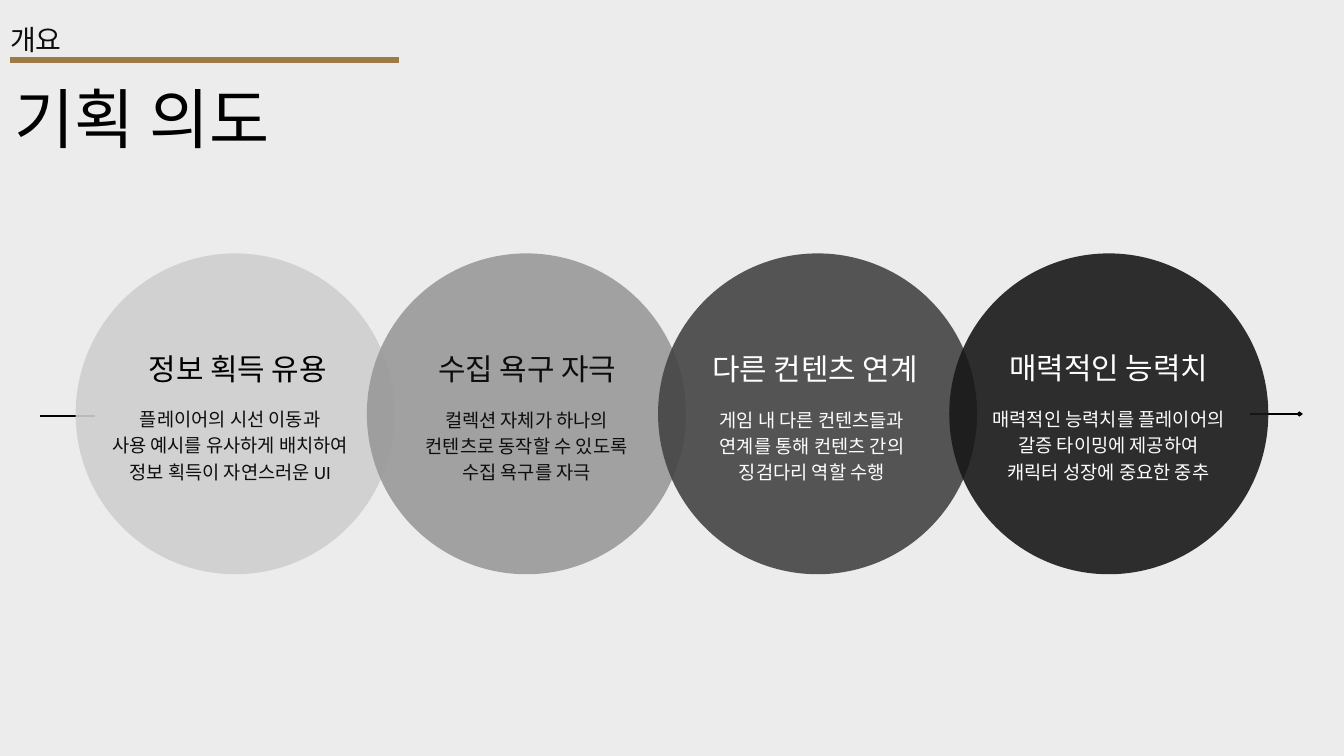
from dataclasses import dataclass

import pptx
import pptx.dml.color
import pptx.enum.shapes
import pptx.enum.text
import pptx.oxml
import pptx.oxml.ns
import pptx.util
from lxml import etree

Cm = pptx.util.Cm
Pt = pptx.util.Pt
ALIGN = pptx.enum.text.PP_ALIGN


@dataclass(frozen=True)
class Theme:
    background: str = "EDECED"
    black: str = "000000"
    ink: str = "0E0D0E"
    white: str = "FFFFFF"
    accent: str = "9D7A46"
    font: str = "Calibri"
    label_font: str = "Montserrat"
    label_size: int = 30
    title_size: int = 70
    heading_size: int = 32
    body_size: int = 20
    tight: float = 1.2
    loose: float = 1.4
    circle_opacity: int = 90


@dataclass(frozen=True)
class Goal:
    """One circle; heading and body positions are cm from its top left."""
    heading: str
    body: tuple
    fill: str
    heading_color: str
    body_color: str
    heading_at: tuple
    body_at: tuple


THEME = Theme()
GOALS = (
    Goal("정보 획득 유용",
         ("플레이어의 시선 이동과", "사용 예시를 유사하게 배치하여", "정보 획득이 자연스러운 UI"),
         "CFCFCF", THEME.black, THEME.ink, (1.71, 3.68), (1.18, 5.71)),
    Goal("수집 욕구 자극",
         ("컬렉션 자체가 하나의", "컨텐츠로 동작할 수 있도록", "수집 욕구를 자극"),
         "999999", THEME.ink, THEME.ink, (1.65, 3.68), (1.38, 5.74)),
    Goal("다른 컨텐츠 연계",
         ("게임 내 다른 컨텐츠들과", "연계를 통해 컨텐츠 간의", "징검다리 역할 수행"),
         "444444", THEME.white, THEME.white, (1.52, 3.66), (1.16, 5.74)),
    Goal("매력적인 능력치",
         ("매력적인 능력치를 플레이어의", "갈증 타이밍에 제공하여", "캐릭터 성장에 중요한 중추"),
         "191919", THEME.white, THEME.white, (1.61, 3.63), (1.36, 5.71)),
)


def rgb(color):
    return pptx.dml.color.RGBColor.from_string(color)


def add_child(parent, tag, **attributes):
    return etree.SubElement(parent, pptx.oxml.ns.qn(tag), attributes)


def add_text(page, left, top, width, height, lines, size, color,
             font=THEME.font, spacing=THEME.tight, align=ALIGN.CENTER):
    box = page.shapes.add_textbox(Cm(left), Cm(top), Cm(width), Cm(height))
    frame = box.text_frame
    frame.word_wrap = True
    frame.auto_size = pptx.enum.text.MSO_AUTO_SIZE.SHAPE_TO_FIT_TEXT
    frame.margin_left = frame.margin_right = 0
    frame.margin_top = frame.margin_bottom = 0
    frame.text = "\n".join(lines)
    for para in frame.paragraphs:
        para.alignment = align
        para.line_spacing = Pt(size * spacing)
        para.font.size = Pt(size)
        para.font.name = font
        para.font.color.rgb = rgb(color)


def add_line(page, left, top, length, color, weight, arrow=False):
    line = page.shapes.add_connector(
        pptx.enum.shapes.MSO_CONNECTOR.STRAIGHT,
        Cm(left), Cm(top), Cm(left + length), Cm(top))
    line.line.color.rgb = rgb(color)
    line.line.width = Pt(weight)
    if arrow:
        add_child(line.line._get_or_add_ln(), "a:tailEnd",
                  type="arrow", w="sm", len="sm")
    add_child(line._element.spPr, "a:effectLst")


def add_header(page, left, top):
    add_text(page, left, top, 19.69, 1.32, ["개요"], THEME.label_size, THEME.ink,
             font=THEME.label_font, align=ALIGN.LEFT)
    add_line(page, left, top + 1.42, 14.71, THEME.accent, 6)
    add_text(page, left - 0.33, top + 2.09, 10.64, 3.02, ["기획 의도"],
             THEME.title_size, THEME.black)


def add_goal(page, left, top, width, height, goal):
    circle = page.shapes.add_shape(pptx.enum.shapes.MSO_SHAPE.OVAL,
                                   Cm(left), Cm(top), Cm(width), Cm(height))
    circle.shadow.inherit = False
    circle.line.fill.background()
    circle.fill.solid()
    circle.fill.fore_color.rgb = rgb(goal.fill)
    fill_color = circle._element.spPr.find(".//" + pptx.oxml.ns.qn("a:srgbClr"))
    add_child(fill_color, "a:alpha", val=str(THEME.circle_opacity * 1000))

    dx, dy = goal.heading_at
    add_text(page, left + dx, top + dy, 8.84, 1.37, [goal.heading],
             THEME.heading_size, goal.heading_color)
    dx, dy = goal.body_at
    add_text(page, left + dx, top + dy, 9.32, 3.02, goal.body,
             THEME.body_size, goal.body_color, spacing=THEME.loose)


def add_goal_chain(page, left, top, width, height):
    """Overlapping circles across the box, with a line entering and an arrow leaving."""
    diameter = 12.06
    pitch = (width - diameter) / (len(GOALS) - 1)
    add_line(page, left - 1.34, top + 6.14, 2.09, THEME.black, 2.25)
    add_line(page, left + width - 0.7, top + 6.07, 2.01, THEME.black, 2.25, arrow=True)
    for index, goal in enumerate(GOALS):
        add_goal(page, left + index * pitch, top, diameter, height, goal)


def main():
    deck = pptx.Presentation()
    deck.slide_width, deck.slide_height = Cm(50.8), Cm(28.58)
    page = deck.slides.add_slide(deck.slide_layouts[6])
    page.background.fill.solid()
    page.background.fill.fore_color.rgb = rgb(THEME.background)
    add_header(page, 0.38, 0.86)
    add_goal_chain(page, 2.86, 9.58, 45.08, 12.13)
    deck.save("out.pptx")


if __name__ == "__main__":
    main()
